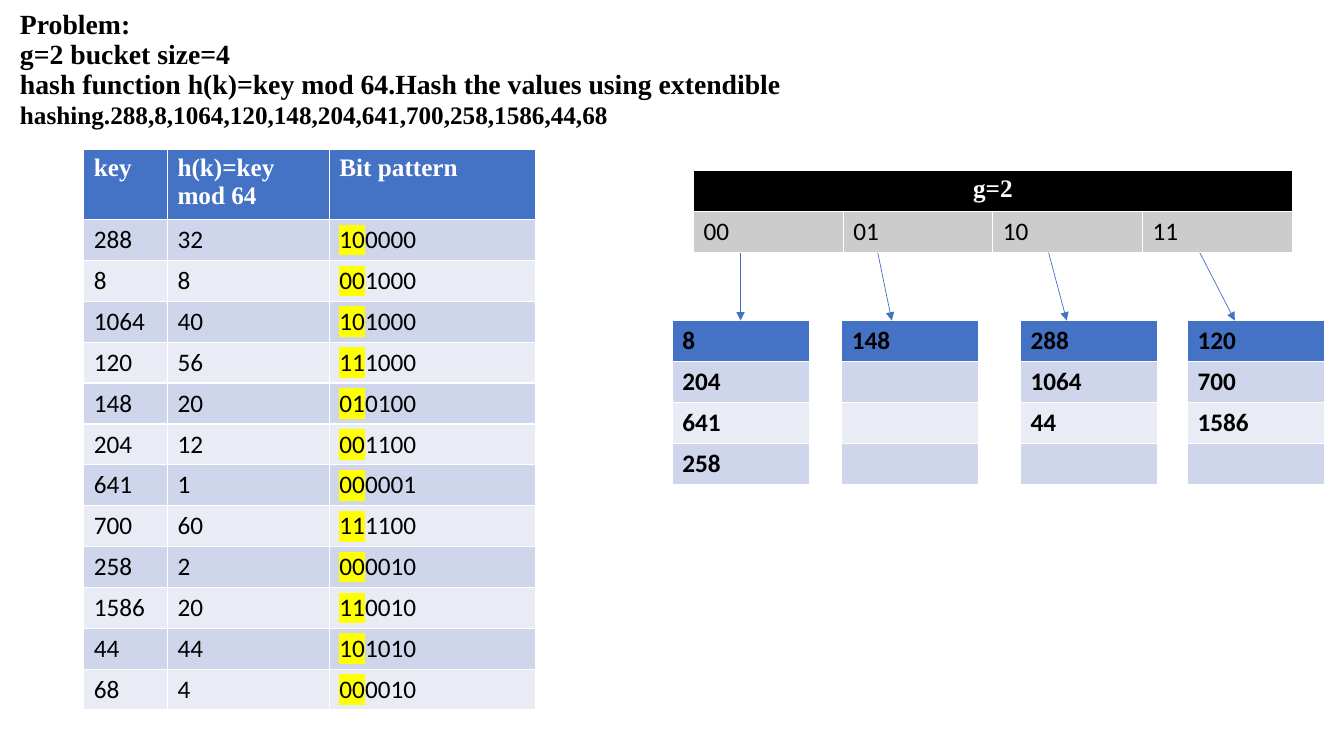
from lxml.etree import SubElement
from pptx import Presentation
from pptx.dml.color import RGBColor
from pptx.enum.shapes import MSO_CONNECTOR
from pptx.enum.text import PP_ALIGN
from pptx.oxml import parse_xml
from pptx.oxml.ns import nsdecls, qn
from pptx.util import Pt

BLACK = RGBColor(0x00, 0x00, 0x00)
WHITE = RGBColor(0xFF, 0xFF, 0xFF)
BLUE = RGBColor(0x44, 0x72, 0xC4)
BANDS = [RGBColor(0xE9, 0xEB, 0xF5), RGBColor(0xCF, 0xD5, 0xEA)]
GREY = RGBColor(0xCC, 0xCC, 0xCC)
SERIF, SANS = "Times New Roman", "Calibri"
ROW_HEIGHT = 29.2


def add_grid(page, left, top, widths, row_count):
    """Add a table whose style supplies the white cell borders."""
    frame = page.shapes.add_table(row_count, len(widths), Pt(left), Pt(top),
                                  Pt(sum(widths)), Pt(ROW_HEIGHT * row_count))
    grid = frame.table
    for column, width in zip(grid.columns, widths):
        column.width = Pt(width)
    for row in grid.rows:
        row.height = Pt(ROW_HEIGHT)
    return grid


def fill_cell(cell, text, fill, face=SANS, color=BLACK, bold=False, marked=0):
    """Write the text in a cell, highlighting its first `marked` characters."""
    cell.fill.solid()
    cell.fill.fore_color.rgb = fill
    para = cell.text_frame.paragraphs[0]
    para.font.size = Pt(18)
    for part in (text[:marked], text[marked:]):
        if part:
            span = para.add_run()
            span.text = part
            span.font.name, span.font.size = face, Pt(18)
            span.font.bold, span.font.color.rgb = bold, color
    if marked:
        latin = para.runs[0].font._element.find(qn("a:latin"))
        latin.addprevious(parse_xml(
            f'<a:highlight {nsdecls("a")}><a:srgbClr val="FFFF00"/></a:highlight>'))


deck = Presentation()
deck.slide_width, deck.slide_height = Pt(960), Pt(540)
page = deck.slides.add_slide(deck.slide_layouts[6])

# Problem statement
problem = page.shapes.add_textbox(Pt(7.2), Pt(7.2), Pt(931), Pt(88))
problem.text_frame.word_wrap = True
problem.text_frame.margin_top = problem.text_frame.margin_bottom = 0
para = problem.text_frame.paragraphs[0]
para.line_spacing = Pt(21.4)
para.font.name, para.font.bold, para.font.color.rgb = SERIF, True, BLACK
statement = [
    ("Problem:", 19.8),
    ("g=2 bucket size=4", 19.8),
    ("hash function h(k)=key mod 64.Hash the values using extendible ", 19.8),
    ("hashing.288,8,1064,120,148,204,641,700,258,1586,44,68", 18),
]
for number, (line, size) in enumerate(statement):
    if number:
        para.add_line_break()
    span = para.add_run()
    span.text = line
    span.font.size = Pt(size)

# Keys with their hash values and bit patterns
hashes = [
    ("288", "32", "100000"), ("8", "8", "001000"), ("1064", "40", "101000"),
    ("120", "56", "111000"), ("148", "20", "010100"), ("204", "12", "001100"),
    ("641", "1", "000001"), ("700", "60", "111100"), ("258", "2", "000010"),
    ("1586", "20", "110010"), ("44", "44", "101010"), ("68", "4", "000010"),
]
hash_table = add_grid(page, 59.9, 106.4, [59.7, 115.7, 147], len(hashes) + 1)
hash_table.rows[0].height = Pt(46.8)
for column, heading in enumerate(["key", "h(k)=key mod 64", "Bit pattern"]):
    fill_cell(hash_table.cell(0, column), heading, BLUE, SERIF, WHITE, True)
for row, values in enumerate(hashes, start=1):
    for column, value in enumerate(values):
        fill_cell(hash_table.cell(row, column), value, BANDS[row % 2],
                  marked=2 if column == 2 else 0)

# Directory of global depth 2
directory = add_grid(page, 495.4, 121.7, [106.9] * 4, 2)
directory.cell(0, 0).merge(directory.cell(0, 3))
fill_cell(directory.cell(0, 0), "g=2", BLACK, SERIF, WHITE, True)
directory.cell(0, 0).text_frame.paragraphs[0].alignment = PP_ALIGN.CENTER
for column, prefix in enumerate(["00", "01", "10", "11"]):
    fill_cell(directory.cell(1, column), prefix, GREY)

# Buckets, each with the start and end of its arrow
buckets = [
    (480.2, ["8", "204", "641", "258"], 529, 529),
    (601.2, ["148", "", "", ""], 627, 637),
    (728.9, ["288", "1064", "44", ""], 749, 762),
    (848.2, ["120", "700", "1586", ""], 857, 882),
]
for left, keys, arrow_start, arrow_end in buckets:
    bucket = add_grid(page, left, 229, [97.9], len(keys))
    for row, key in enumerate(keys):
        fill_cell(bucket.cell(row, 0), key, BANDS[row % 2] if row else BLUE, bold=True)
    arrow = page.shapes.add_connector(MSO_CONNECTOR.STRAIGHT, Pt(arrow_start),
                                      Pt(180.5), Pt(arrow_end), Pt(229))
    arrow.line.color.rgb = BLUE
    arrow.line.width = Pt(0.5)
    SubElement(arrow.line._get_or_add_ln(), qn("a:tailEnd"), type="triangle")
    SubElement(arrow._element.spPr, qn("a:effectLst"))

deck.save("out.pptx")
